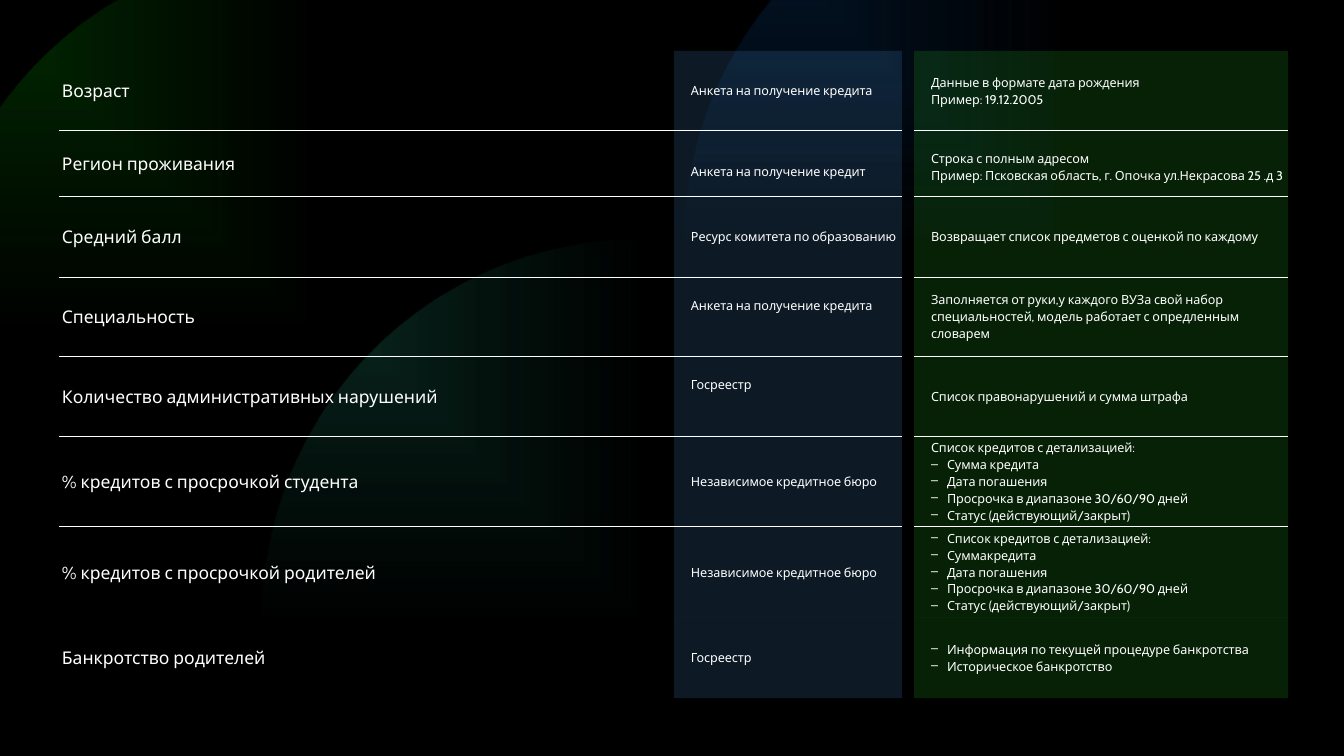
"""Build the slide listing model features, their sources and data formats."""
import pptx
import pptx.dml.color
import pptx.enum.shapes
import pptx.enum.text
import pptx.oxml
import pptx.oxml.ns
import pptx.util

SCALE = 914400 / 50.4
THEME = {
    "font": "Cabin", "background": "000000", "text": "FFFFFF", "rule": "FFFFFF",
    "source": "5AB0FF", "format": "34E234", "feature_size": 25, "detail_size": 18,
}
CIRCLE_SIZE = 756
CIRCLES = [
    (-69, -51, "08BC08", "08BC08"),
    (263, 240, "31C2A7", "209F6D"),
    (685, -136, "1164C0", "1164C0"),
]
TABLE_LEFT, TABLE_TOP = 59, 51
COLUMN_WIDTHS = [615, 228, 10, 374, 13]
MARGIN, LOWERED, INDENT, HANGING = 3, 20, 14, 16
RULED_ROWS = 5
CREDIT_LIST = "Список кредитов с детализацией:"
CREDIT_FIELDS = ["Дата погашения", "Просрочка в диапазоне 30/60/90 дней",
                 "Статус (действующий/закрыт)"]
TOP = {"anchor": "TOP"}
LOW = {"margin_top": LOWERED}
LOW_TOP = TOP | LOW
ROWS = [
    (79, "Возраст", ("Анкета на получение кредита", {}),
     (["Данные в формате дата рождения", "Пример: 19.12.2005"], {})),
    (66, "Регион проживания", ("Анкета на получение кредит", LOW),
     (["Строка с полным адресом",
       "Пример: Псковская область, г. Опочка ул.Некрасова 25 .д 3"], LOW_TOP)),
    (81, "Средний балл", ("Ресурс комитета по образованию", {}),
     (["Возвращает список предметов с оценкой по каждому"], {})),
    (79, "Специальность", ("Анкета на получение кредита", LOW_TOP),
     (["Заполняется от руки,у каждого ВУЗа свой набор специальностей, "
       "модель работает с опредленным словарем"], {})),
    (80, "Количество административных нарушений", ("Госреестр", LOW_TOP),
     (["Список правонарушений и сумма штрафа"], {})),
    (90, "% кредитов с просрочкой студента", ("Независимое кредитное бюро", {}),
     ([CREDIT_LIST, "Сумма кредита", *CREDIT_FIELDS], TOP | {"bullets_from": 1})),
    (90, "% кредитов с просрочкой родителей", ("Независимое кредитное бюро", {}),
     ([CREDIT_LIST, "Суммакредита", *CREDIT_FIELDS], {"bullets_from": 0})),
    (81, "Банкротство родителей", ("Госреестр", {}),
     (["Информация по текущей процедуре банкротства", "Историческое банкротство"],
      {"bullets_from": 0})),
]


def px(length):
    return round(length * SCALE)


def color(name):
    return pptx.dml.color.RGBColor.from_string(THEME[name])


def element(markup):
    namespace = pptx.oxml.ns.nsdecls("a")
    return pptx.oxml.parse_xml(markup.replace(" ", f" {namespace} ", 1))


def write(cell, lines, size="detail_size", indent=INDENT, spacing=-10,
          anchor="MIDDLE", margin_top=MARGIN, bullets_from=99):
    cell.margin_left = cell.margin_right = cell.margin_bottom = px(MARGIN)
    cell.margin_top = px(margin_top)
    cell.vertical_anchor = pptx.enum.text.MSO_ANCHOR[anchor]
    frame = cell.text_frame
    frame.word_wrap = True
    for index, line in enumerate(lines):
        paragraph = frame.paragraphs[0] if index == 0 else frame.add_paragraph()
        paragraph.line_spacing = 1.1
        properties = paragraph._p.get_or_add_pPr()
        bulleted = index >= bullets_from
        properties.set("marL", str(px(indent + HANGING * bulleted)))
        properties.set("indent", str(px(-HANGING * bulleted)))
        if bulleted:
            properties.append(element('<a:buChar char="–"/>'))
        run = paragraph.add_run()
        run.text = line
        run.font.name = THEME["font"]
        run.font.size = pptx.util.Pt(THEME[size])
        run.font.color.rgb = color("text")
        run._r.get_or_add_rPr().set("spc", str(spacing))


def tint(cell, name):
    cell.fill.solid()
    cell.fill.fore_color.rgb = color(name)
    for value in cell._tc.tcPr.iter(pptx.oxml.ns.qn("a:srgbClr")):
        value.append(element('<a:alpha val="15000"/>'))


def add_rules(cell, row):
    sides = [("lnT", 0 < row <= RULED_ROWS), ("lnB", row < RULED_ROWS)]
    tags = [tag for tag, ruled in sides if ruled]
    for position, tag in enumerate(tags):
        cell._tc.get_or_add_tcPr().insert(position, element(
            f'<a:{tag} w="12700"><a:solidFill><a:srgbClr val="{THEME["rule"]}"/>'
            f'</a:solidFill></a:{tag}>'))


def add_circle(slide, left, top, start, end):
    circle = slide.shapes.add_shape(
        pptx.enum.shapes.MSO_SHAPE.OVAL, px(left), px(top), px(CIRCLE_SIZE), px(CIRCLE_SIZE))
    circle.shadow.inherit = False
    circle.line.fill.background()
    properties = circle._element.spPr
    gradient = element(
        '<a:gradFill rotWithShape="1"><a:gsLst>'
        f'<a:gs pos="0"><a:srgbClr val="{start}"><a:alpha val="25000"/></a:srgbClr></a:gs>'
        f'<a:gs pos="100000"><a:srgbClr val="{end}"><a:alpha val="0"/></a:srgbClr></a:gs>'
        '</a:gsLst><a:path path="shape"><a:fillToRect l="0" t="0" r="100000" b="100000"/>'
        '</a:path></a:gradFill>')
    properties.find(pptx.oxml.ns.qn("a:prstGeom")).addnext(gradient)


def add_feature_table(slide):
    heights = [row[0] for row in ROWS]
    table = slide.shapes.add_table(
        len(ROWS), len(COLUMN_WIDTHS), px(TABLE_LEFT), px(TABLE_TOP),
        px(sum(COLUMN_WIDTHS)), px(sum(heights))).table
    table.first_row = table.horz_banding = False
    style = table._tbl.tblPr.find(pptx.oxml.ns.qn("a:tableStyleId"))
    style.text = "{2D5ABB26-0587-4C30-8999-92F81FD0307C}"
    for column, width in zip(table.columns, COLUMN_WIDTHS):
        column.width = px(width)
    for index, (height, feature, source, data_format) in enumerate(ROWS):
        table.rows[index].height = px(height)
        cells = list(table.rows[index].cells)
        write(cells[0], [feature], size="feature_size", indent=0, spacing=0)
        write(cells[1], [source[0]], **source[1])
        write(cells[3], data_format[0], **data_format[1])
        for cell, fill in zip(cells, [None, "source", None, "format", None]):
            if fill:
                tint(cell, fill)
            else:
                cell.fill.background()
        for cell in (cells[0], cells[1], cells[3]):
            add_rules(cell, index)


def main():
    presentation = pptx.Presentation()
    presentation.slide_width, presentation.slide_height = px(1344), px(756)
    slide = presentation.slides.add_slide(presentation.slide_layouts[6])
    slide.background.fill.solid()
    slide.background.fill.fore_color.rgb = color("background")
    for circle in CIRCLES:
        add_circle(slide, *circle)
    add_feature_table(slide)
    presentation.save("out.pptx")


if __name__ == "__main__":
    main()
